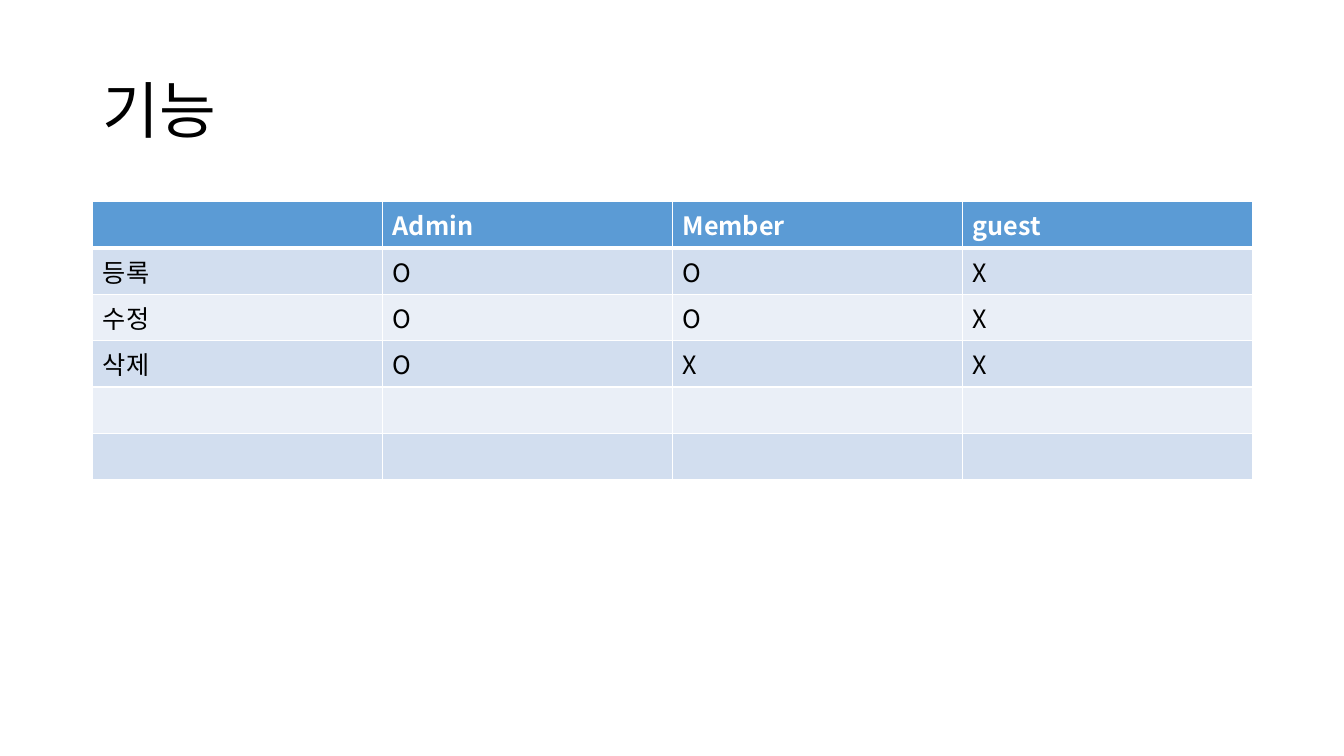
from lxml import etree
from pptx import Presentation
from pptx.dml.color import RGBColor
from pptx.enum.text import MSO_ANCHOR
from pptx.oxml.ns import qn
from pptx.util import Inches, Pt

TITLE = "기능"
ROWS = [
    ("", "Admin", "Member", "guest"),
    ("등록", "O", "O", "X"),
    ("수정", "O", "O", "X"),
    ("삭제", "O", "X", "X"),
    ("", "", "", ""),
    ("", "", "", ""),
]

FONT = "Noto Sans CJK KR"
BLACK = RGBColor(0x00, 0x00, 0x00)
WHITE = RGBColor(0xFF, 0xFF, 0xFF)
HEADER_BLUE = RGBColor(0x5B, 0x9B, 0xD5)
BANDS = (RGBColor(0xEA, 0xEF, 0xF7), RGBColor(0xD2, 0xDE, 0xEF))
MIDDLE = MSO_ANCHOR.MIDDLE

SLIDE_WIDTH, SLIDE_HEIGHT = Inches(13.33), Inches(7.5)
MARGIN = Inches(0.92)
CONTENT_WIDTH = Inches(11.5)
TITLE_TOP, TITLE_HEIGHT = Inches(0.4), Inches(1.45)
TABLE_TOP, ROW_HEIGHT = Inches(2), Inches(0.46)
THIN, THICK = Pt(1), Pt(3)


def write(frame, text, size, color, bold=False):
    """Put one line of styled text into a text frame."""
    para = frame.paragraphs[0]
    para.text = text
    for span in para.runs:
        span.font.name = FONT
        span.font.size = Pt(size)
        span.font.bold = bold
        span.font.color.rgb = color
        east_asian = etree.SubElement(span.font._element, qn("a:ea"))
        east_asian.set("typeface", FONT)
    return para


def add_borders(cell, top, bottom):
    """Draw white lines on all four sides of a cell."""
    properties = cell._tc.get_or_add_tcPr()
    for side, width in (("L", THIN), ("R", THIN), ("T", top), ("B", bottom)):
        line = etree.SubElement(properties, qn("a:ln" + side), w=str(int(width)))
        fill = etree.SubElement(line, qn("a:solidFill"))
        etree.SubElement(fill, qn("a:srgbClr"), val=str(WHITE))


def add_title(page):
    """Add the slide heading."""
    box = page.shapes.add_textbox(MARGIN, TITLE_TOP, CONTENT_WIDTH, TITLE_HEIGHT)
    frame = box.text_frame
    frame.word_wrap = True
    frame.vertical_anchor = MIDDLE
    write(frame, TITLE, 44, BLACK).line_spacing = 0.9


def add_permissions(page):
    """Add the banded table of features by role."""
    table = page.shapes.add_table(
        len(ROWS), len(ROWS[0]), MARGIN, TABLE_TOP,
        CONTENT_WIDTH, ROW_HEIGHT * len(ROWS)).table
    for row, labels in enumerate(ROWS):
        header = row == 0
        for column, label in enumerate(labels):
            cell = table.cell(row, column)
            add_borders(cell, THICK if row == 1 else THIN,
                        THICK if header else THIN)
            cell.fill.solid()
            cell.fill.fore_color.rgb = HEADER_BLUE if header else BANDS[row % 2]
            write(cell.text_frame, label, 18, WHITE if header else BLACK, header)


deck = Presentation()
deck.slide_width, deck.slide_height = SLIDE_WIDTH, SLIDE_HEIGHT
page = deck.slides.add_slide(deck.slide_layouts[6])
add_title(page)
add_permissions(page)
deck.save("out.pptx")
